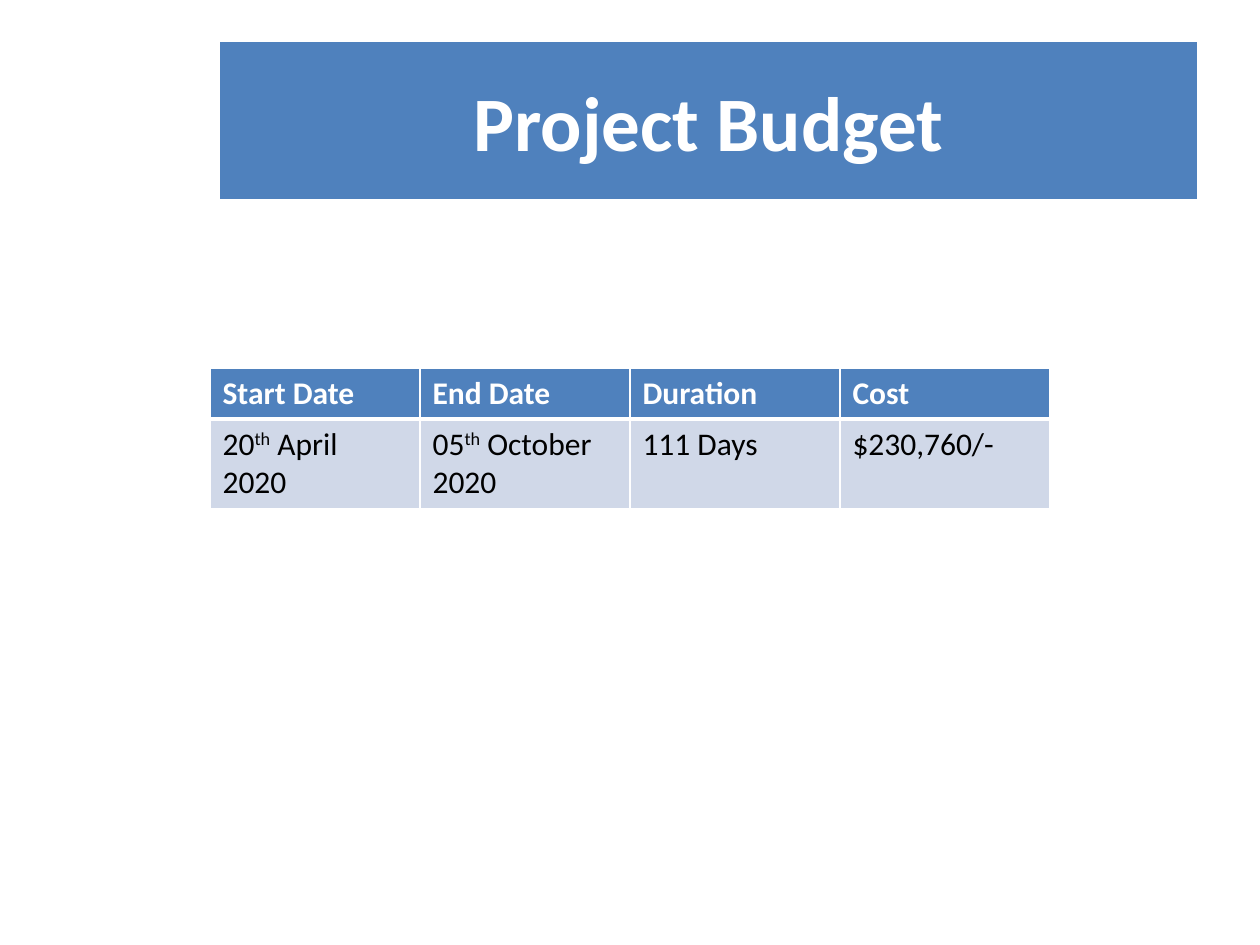
from lxml.etree import SubElement
from pptx import Presentation
from pptx.dml.color import RGBColor
from pptx.enum.shapes import MSO_SHAPE
from pptx.enum.text import MSO_ANCHOR, PP_ALIGN
from pptx.oxml.ns import qn
from pptx.util import Emu, Pt

PX = 914400 // 126
BLUE, PALE, WHITE, BLACK = "4F81BD", "D0D8E8", "FFFFFF", "000000"
TITLE_FORMAT = {"name": "Calibri", "size": Pt(44), "bold": True}
HEADER_FORMAT = {"name": "Calibri", "size": Pt(18), "bold": True}
BODY_FORMAT = {"name": "Calibri", "size": Pt(18), "bold": False}

# Each cell is a list of text pieces; every second piece is superscript.
BUDGET_ROWS = [
    [["Start Date"], ["End Date"], ["Duration"], ["Cost"]],
    [["20", "th", " April 2020"], ["05", "th", " October 2020"],
     ["111 Days"], ["$230,760/-"]],
]
ROW_HEIGHTS = [51, 89]


def px(length):
    return Emu(length * PX)


def set_color(color_format, value):
    color_format.rgb = RGBColor.from_string(value)


def set_fill(fill, value):
    fill.solid()
    set_color(fill.fore_color, value)


def add_run(paragraph, text, font_format, color):
    run = paragraph.add_run()
    run.text = text
    for name, value in font_format.items():
        setattr(run.font, name, value)
    set_color(run.font.color, color)
    return run


def set_borders(cell, widths):
    """Draw white cell borders; widths maps L, R, T and B to points."""
    properties = cell._tc.get_or_add_tcPr()
    for side, width in widths.items():
        line = SubElement(properties, qn(f"a:ln{side}"), w=str(Pt(width)))
        fill = SubElement(line, qn("a:solidFill"))
        SubElement(fill, qn("a:srgbClr"), val=WHITE)


def add_title(slide, left, top, width, height):
    shape = slide.shapes.add_shape(
        MSO_SHAPE.RECTANGLE, px(left), px(top), px(width), px(height))
    shape.shadow.inherit = False
    set_fill(shape.fill, BLUE)
    shape.line.fill.background()
    shape.text_frame.vertical_anchor = MSO_ANCHOR.MIDDLE
    paragraph = shape.text_frame.paragraphs[0]
    paragraph.alignment = PP_ALIGN.CENTER
    add_run(paragraph, "Project Budget", TITLE_FORMAT, WHITE)


def add_budget_table(slide, left, top, width):
    column_count = len(BUDGET_ROWS[0])
    table = slide.shapes.add_table(
        len(BUDGET_ROWS), column_count, px(left), px(top),
        px(width), px(sum(ROW_HEIGHTS))).table
    for column in table.columns:
        column.width = px(width // column_count)
    for row_index, cells in enumerate(BUDGET_ROWS):
        is_header = row_index == 0
        table.rows[row_index].height = px(ROW_HEIGHTS[row_index])
        font_format = HEADER_FORMAT if is_header else BODY_FORMAT
        for column_index, pieces in enumerate(cells):
            cell = table.cell(row_index, column_index)
            set_borders(cell, {"L": 1, "R": 1, "T": 1 if is_header else 3,
                               "B": 3 if is_header else 1})
            set_fill(cell.fill, BLUE if is_header else PALE)
            paragraph = cell.text_frame.paragraphs[0]
            for piece_index, text in enumerate(pieces):
                run = add_run(paragraph, text, font_format,
                              WHITE if is_header else BLACK)
                if piece_index % 2:
                    run._r.get_or_add_rPr().set("baseline", "30000")


def main():
    presentation = Presentation()
    presentation.slide_width, presentation.slide_height = px(1260), px(945)
    slide = presentation.slides.add_slide(presentation.slide_layouts[6])
    add_title(slide, 220, 42, 977, 157)
    add_budget_table(slide, 210, 368, 840)
    presentation.save("out.pptx")


if __name__ == "__main__":
    main()
